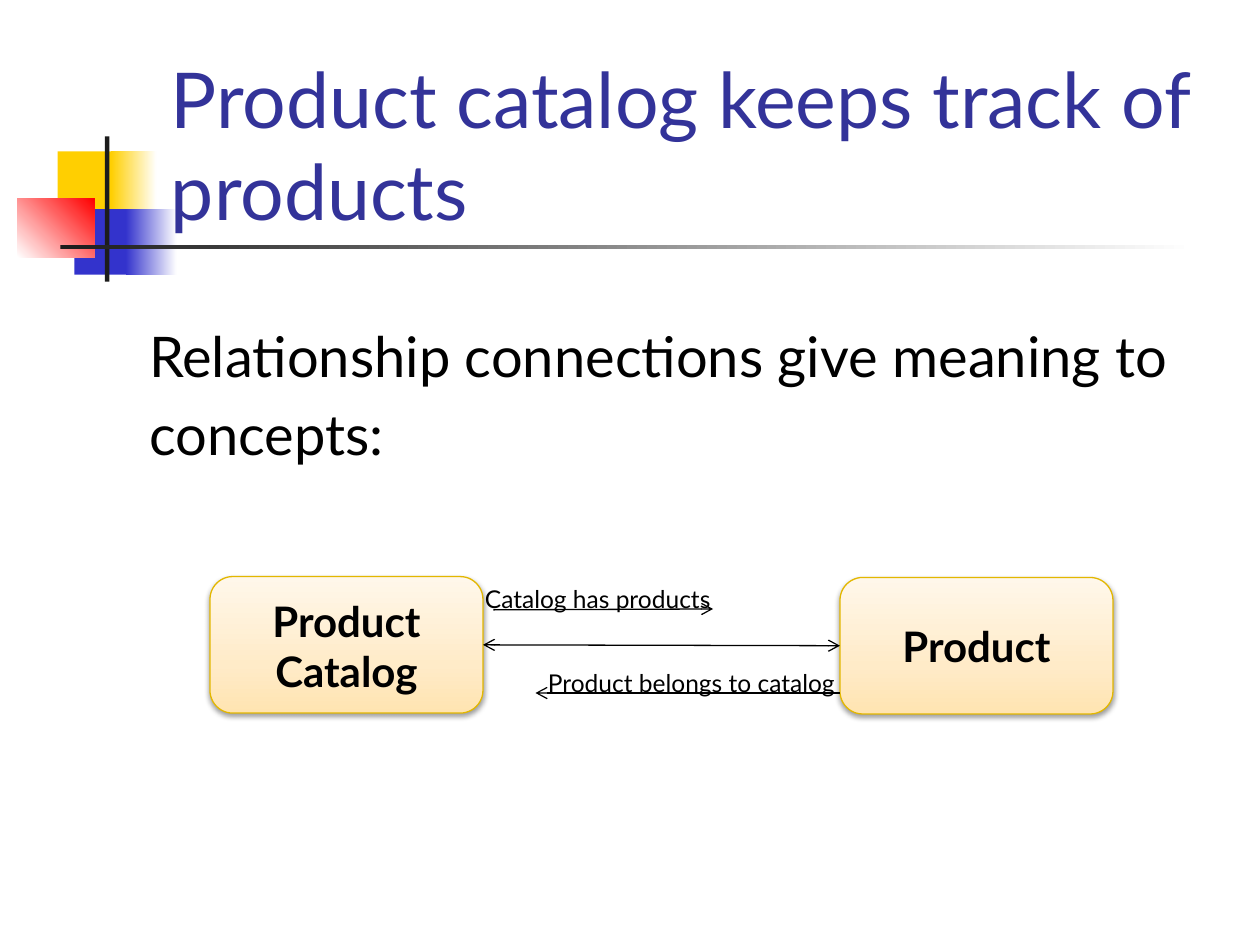
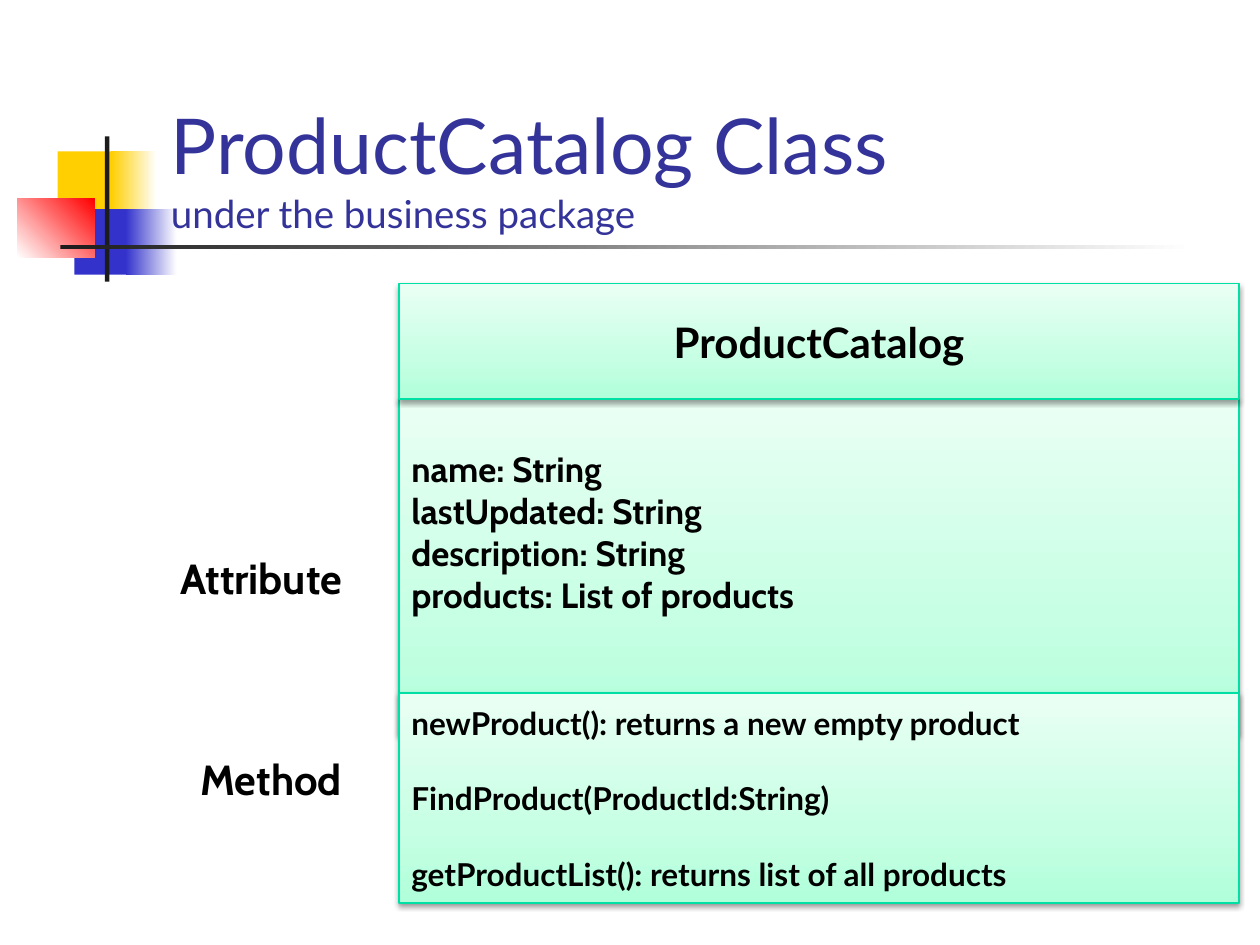
from copy import deepcopy
from dataclasses import dataclass
from typing import NamedTuple

from pptx import Presentation
from pptx.dml.color import RGBColor
from pptx.enum.shapes import MSO_CONNECTOR as CONN, MSO_SHAPE as SHP
from pptx.enum.text import MSO_ANCHOR as ANC, MSO_AUTO_SIZE as AUTO, PP_ALIGN as AL
from pptx.oxml import parse_xml
from pptx.oxml.ns import nsdecls, qn
from pptx.util import Pt

# Shared colours and fonts
YELLOW, BLUE, RED, DARK, WHITE = "FFCF01", "3333CC", "FF0000", "1C1C1C", "FFFFFF"
BLACK, TITLE_BLUE = "000000", "333399"
LATO, CABIN = "Lato", "Cabin"


class Rect(NamedTuple):
    x: float
    y: float
    w: float
    h: float


class Band(NamedTuple):
    at: Rect
    colors: tuple[str, ...]
    angle: float = 0


@dataclass(frozen=True)
class TextStyle:
    size: float
    name: str = LATO
    bold: bool = False
    color: str = BLACK


@dataclass(frozen=True)
class Skin:
    colors: tuple[str, ...]
    line: str


@dataclass(frozen=True)
class Box:
    at: Rect
    lines: tuple[str, ...]
    style: TextStyle
    shape: SHP = SHP.RECTANGLE
    align: AL = AL.CENTER
    anchor: ANC = ANC.MIDDLE
    wrap: bool = True
    top: float = 3.6
    gap: float = 0


@dataclass(frozen=True)
class Label:
    at: Rect
    lines: tuple[str, ...]
    style: TextStyle
    wrap: bool = True


@dataclass(frozen=True)
class Arrow:
    start: tuple[float, float]
    end: tuple[float, float]
    ends: tuple[str, ...] = ("tailEnd",)


BANDS = [
    Band(Rect(33, 86.5, 34.5, 37.5), (YELLOW,)),
    Band(Rect(63.5, 86.5, 26, 37.5), (YELLOW, WHITE)),
    Band(Rect(42.5, 119.5, 33, 37.5), (BLUE,)),
    Band(Rect(72, 119.5, 29, 37.5), (BLUE, WHITE)),
    Band(Rect(10, 113.5, 44, 33.5), (WHITE, RED), 315),
    Band(Rect(60, 78, 2.5, 83), (DARK,)),
    Band(Rect(34.5, 140, 648, 2.5), (DARK, WHITE)),
]
GOLD = Skin(("FFE4B1", "FFEBC8", "FFF7EA"), "E3B700")
MINT = Skin(("B0FFDA", "C7FFE4", "EAFFF4"), "00DFA4")
TITLE = TextStyle(44, color=TITLE_BLUE)
SUBTITLE = TextStyle(22, color=TITLE_BLUE)
BODY, NOTE = TextStyle(32), TextStyle(14)
HEADING, METHOD = TextStyle(24, bold=True), TextStyle(18, bold=True)
ATTRIBUTE, SIDE = TextStyle(20, CABIN, True), TextStyle(24, CABIN, True)


def rgb(color: str) -> RGBColor:
    return RGBColor.from_string(color)


def pts(values) -> list:
    return [Pt(v) for v in values]


def set_format(obj, formats: dict) -> None:
    for name, value in formats.items():
        setattr(obj, name, value)


def place(sp, at: Rect) -> None:
    set_format(sp, dict(zip(("left", "top", "width", "height"), pts(at))))


def add_run(p, text: str, style: TextStyle) -> None:
    r = p.add_run()
    r.text = text
    set_format(r.font, {"size": Pt(style.size), "name": style.name, "bold": style.bold})
    r.font.color.rgb = rgb(style.color)


def write(tf, lines, style: TextStyle, align=AL.LEFT, gap: float = 0) -> None:
    for i, line in enumerate(lines):
        p = tf.add_paragraph() if i else tf.paragraphs[0]
        set_format(p, {"alignment": align, "space_before": Pt(gap if i else 0)})
        add_run(p, line, style)


def paint(sp, colors, angle: float = 0) -> None:
    """Fill with one colour, or a gradient whose angle runs clockwise."""
    if len(colors) == 1:
        sp.fill.solid()
        sp.fill.fore_color.rgb = rgb(colors[0])
        return
    sp.fill.gradient()
    sp.fill.gradient_angle = 360 - angle
    stops = sp._element.spPr.find(qn("a:gradFill")).find(qn("a:gsLst"))
    if len(colors) == 3:
        stops.append(deepcopy(stops[0]))
    positions = (0, 0.35, 1) if len(colors) == 3 else (0, 1)
    for stop, color, position in zip(sp.fill.gradient_stops, colors, positions):
        stop.color.rgb = rgb(color)
        stop.position = position


def add_band(s, band: Band) -> None:
    sp = s.shapes.add_shape(SHP.RECTANGLE, *pts(band.at))
    sp.shadow.inherit = False
    sp.line.fill.background()
    paint(sp, band.colors, band.angle)


def add_box(s, box: Box, skin: Skin) -> None:
    sp = s.shapes.add_shape(box.shape, *pts(box.at))
    paint(sp, skin.colors, 270)
    sp.line.color.rgb = rgb(skin.line)
    sp.line.width = Pt(0.75)
    sp.shadow.inherit = False
    sp._element.spPr.find(qn("a:effectLst")).append(parse_xml(
        f'<a:outerShdw {nsdecls("a")} blurRad="{Pt(3.1)}" dist="{Pt(1.6)}" dir="5400000" '
        f'rotWithShape="0"><a:srgbClr val="{BLACK}"><a:alpha val="38000"/></a:srgbClr>'
        '</a:outerShdw>'))
    set_format(sp.text_frame, {"word_wrap": box.wrap, "vertical_anchor": box.anchor,
                               "margin_top": Pt(box.top)})
    write(sp.text_frame, box.lines, box.style, box.align, box.gap)


def add_label(s, label: Label) -> None:
    tf = s.shapes.add_textbox(*pts(label.at)).text_frame
    set_format(tf, {"word_wrap": label.wrap, "auto_size": AUTO.SHAPE_TO_FIT_TEXT})
    write(tf, label.lines, label.style)


def add_arrow(s, arrow: Arrow) -> None:
    c = s.shapes.add_connector(CONN.STRAIGHT, *pts(arrow.start + arrow.end))
    c.line.color.rgb = rgb(BLACK)
    c.line.width = Pt(0.75)
    for end in arrow.ends:
        c.line._get_or_add_ln().append(parse_xml(f'<a:{end} {nsdecls("a")} type="arrow"/>'))
    c._element.spPr.append(parse_xml(f'<a:effectLst {nsdecls("a")}/>'))


def add_slide(prs, layout: int, title: str, subtitle: str = ""):
    s = prs.slides.add_slide(prs.slide_layouts[layout])
    for band in BANDS:
        add_band(s, band)
    # Placeholders go in front of the bands
    for ph in list(s.placeholders):
        s.shapes._spTree.append(ph._element)
    place(s.shapes.title, Rect(90.5, 48.5, 613.5, 90))
    tf = s.shapes.title.text_frame
    set_format(tf, {"vertical_anchor": ANC.BOTTOM, "auto_size": AUTO.NONE, "word_wrap": True})
    write(tf, [title], TITLE)
    if subtitle:
        tf.paragraphs[0].add_line_break()
        add_run(tf.paragraphs[0], subtitle, SUBTITLE)
    return s


def build_relationship(prs) -> None:
    s = add_slide(prs, 1, "Product catalog keeps track of products")

    # Body text without bullets
    body = s.placeholders[1]
    place(body, Rect(78, 180, 602.5, 24))
    set_format(body.text_frame, {"auto_size": AUTO.NONE, "word_wrap": True})
    write(body.text_frame, ["Relationship connections give meaning to", "concepts:"], BODY, gap=6.4)
    for p in body.text_frame.paragraphs:
        pPr = p._p.get_or_add_pPr()
        pPr.set("marL", str(Pt(27)))
        pPr.set("indent", str(Pt(-27)))
        pPr.append(parse_xml(f'<a:buNone {nsdecls("a")}/>'))

    # Concepts
    for box in (
        Box(Rect(120, 329.5, 156, 78), ("Product", "Catalog"), HEADING, SHP.ROUNDED_RECTANGLE,
            anchor=ANC.TOP, wrap=False, top=7),
        Box(Rect(480, 330, 156, 78), ("Product",), HEADING, SHP.ROUNDED_RECTANGLE, wrap=False),
    ):
        add_box(s, box, GOLD)

    # Relationships
    add_label(s, Label(Rect(270, 330, 145.5, 24.5), ("Catalog has products",), NOTE, False))
    add_label(s, Label(Rect(306, 378, 180.5, 24.5), ("Product belongs to catalog",), NOTE, False))
    for arrow in (
        Arrow((282, 348.5), (407.5, 348)),
        Arrow((480, 396), (306, 396)),
        Arrow((276, 368.5), (480, 369), ("headEnd", "tailEnd")),
    ):
        add_arrow(s, arrow)


def build_class(prs) -> None:
    s = add_slide(prs, 5, "ProductCatalog Class", "under the business package")

    # Class diagram
    left, width = 228, 480
    for box in (
        Box(Rect(left, 228, width, 192), (), ATTRIBUTE),
        Box(Rect(left, 162, width, 66), ("ProductCatalog",), HEADING),
        Box(Rect(left, 396, width, 120),
            ("newProduct(): returns a new empty product", "FindProduct(ProductId:String)",
             "getProductList(): returns list of all products"), METHOD, align=AL.LEFT, gap=21.6),
    ):
        add_box(s, box, MINT)

    # Attributes and side labels
    for label in (
        Label(Rect(left, 252, 493, 104.5),
              ("name: String", "lastUpdated: String", "description: String",
               "products: List of products"), ATTRIBUTE),
        Label(Rect(96, 312, 146, 36), ("Attribute",), SIDE),
        Label(Rect(107.5, 427, 127, 36), ("Method",), SIDE),
    ):
        add_label(s, label)


def main() -> None:
    prs = Presentation()
    set_format(prs, {"slide_width": Pt(720), "slide_height": Pt(540)})
    build_relationship(prs)
    build_class(prs)
    prs.save("out.pptx")


if __name__ == "__main__":
    main()
